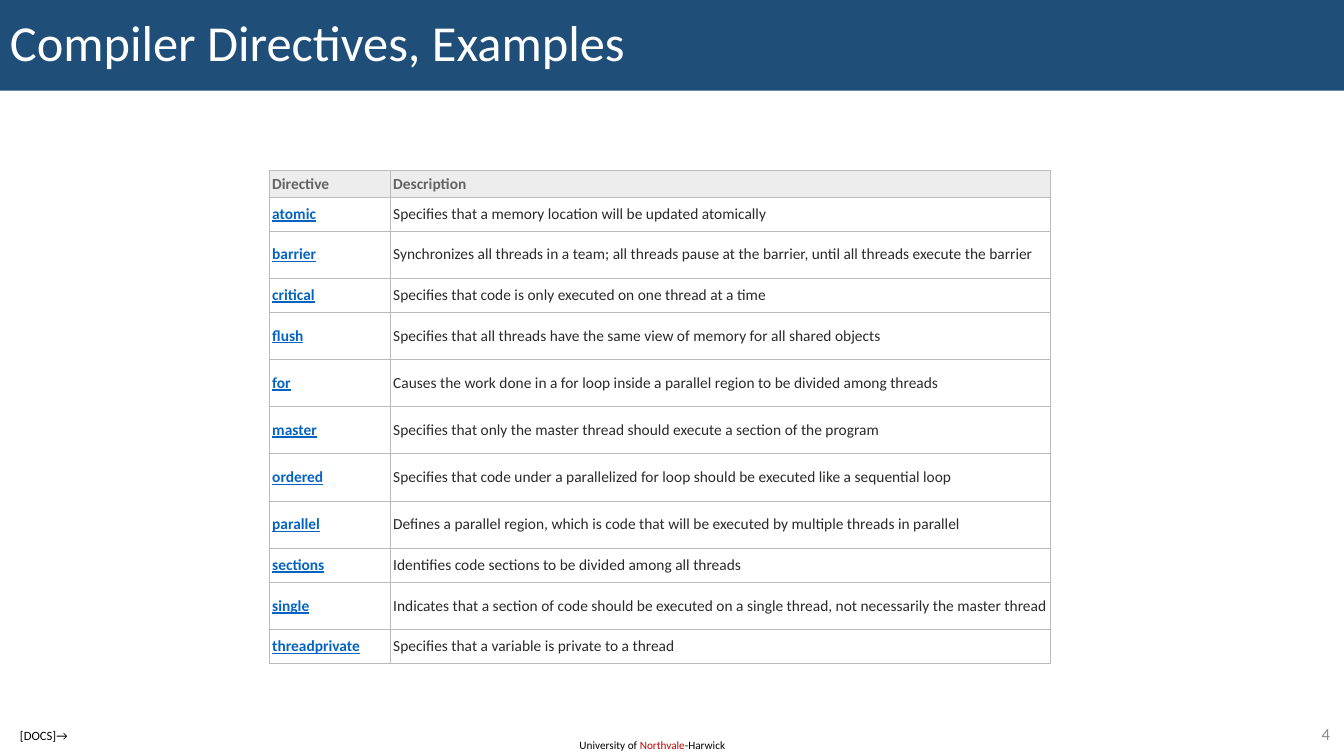
from lxml.etree import SubElement
from pptx import Presentation
from pptx.dml.color import RGBColor
from pptx.enum.shapes import MSO_SHAPE as Shape
from pptx.enum.text import MSO_ANCHOR as Anchor, PP_ALIGN as Align
from pptx.oxml.ns import qn
from pptx.util import Inches, Pt

SLIDE_W, SLIDE_H = Inches(13.33), Inches(7.5)
FONT = "Calibri"
COLORS = {
    "banner": "1F4E79",
    "white": "FFFFFF",
    "black": "000000",
    "accent": "C00000",
    "number": "8C8C8C",
    "header_fill": "EDEDED",
    "header_text": "636363",
    "keyword": "0563C1",
    "body": "2A2A2A",
    "border": "BBBBBB",
}

TABLE_LEFT, TABLE_TOP = 20.03, 22.53
COLUMN_SHARES = (9, 49.14)
HEADER, SHORT, TALL = 3.5, 4.5, 6.25
DIRECTIVES = [
    ("atomic", SHORT, "Specifies that a memory location will be updated atomically"),
    ("barrier", TALL, "Synchronizes all threads in a team; all threads pause at the barrier, "
                      "until all threads execute the barrier"),
    ("critical", SHORT, "Specifies that code is only executed on one thread at a time"),
    ("flush", TALL, "Specifies that all threads have the same view of memory for all shared objects"),
    ("for", TALL, "Causes the work done in a for loop inside a parallel region to be divided among threads"),
    ("master", TALL, "Specifies that only the master thread should execute a section of the program"),
    ("ordered", TALL, "Specifies that code under a parallelized for loop should be executed "
                      "like a sequential loop"),
    ("parallel", TALL, "Defines a parallel region, which is code that will be executed by "
                       "multiple threads in parallel"),
    ("sections", SHORT, "Identifies code sections to be divided among all threads"),
    ("single", TALL, "Indicates that a section of code should be executed on a single thread, "
                     "not necessarily the master thread"),
    ("threadprivate", SHORT, "Specifies that a variable is private to a thread"),
]


def across(percent):
    return int(SLIDE_W * percent / 100)


def down(percent):
    return int(SLIDE_H * percent / 100)


def box(left, top, width, height):
    return across(left), down(top), across(width), down(height)


def rgb(name):
    return RGBColor.from_string(COLORS[name])


def write(frame, text, size, color="black", bold=False, underline=False,
          align=Align.LEFT, spacing=None):
    paragraph = frame.paragraphs[0]
    paragraph.alignment = align
    if spacing:
        paragraph.line_spacing = spacing
    run = paragraph.add_run()
    run.text = text
    font = run.font
    font.name, font.size = FONT, Pt(size)
    font.bold, font.underline = bold, underline
    font.color.rgb = rgb(color)


def add_banner(slide, title):
    banner = slide.shapes.add_shape(Shape.RECTANGLE, *box(0, 0, 100, 12))
    banner.shadow.inherit = False
    banner.fill.solid()
    banner.fill.fore_color.rgb = rgb("banner")
    banner.line.fill.background()
    banner.text_frame.vertical_anchor = Anchor.MIDDLE
    write(banner.text_frame, title, 36, color="white", spacing=0.9)


def add_label(slide, place, pieces, size, wrap=True, anchor=Anchor.TOP, align=Align.LEFT):
    frame = slide.shapes.add_textbox(*box(*place)).text_frame
    frame.word_wrap = wrap
    frame.vertical_anchor = anchor
    for text, color in pieces:
        write(frame, text, size, color=color, align=align)


def draw_borders(cell):
    properties = cell._tc.get_or_add_tcPr()
    for side in ("lnL", "lnR", "lnT", "lnB"):
        line = SubElement(properties, qn(f"a:{side}"), w=str(Pt(0.6)))
        fill = SubElement(line, qn("a:solidFill"))
        SubElement(fill, qn("a:srgbClr"), val=COLORS["border"])


def fill_cell(cell, text, background=None, **style):
    cell.margin_left = cell.margin_right = Inches(0.03)
    cell.margin_top = cell.margin_bottom = Inches(0.04)
    cell.vertical_anchor = Anchor.MIDDLE
    draw_borders(cell)
    if background:
        cell.fill.solid()
        cell.fill.fore_color.rgb = rgb(background)
    else:
        cell.fill.background()
    write(cell.text_frame, text, 11, **style)


def add_directive_table(slide):
    heights = [HEADER] + [height for _, height, _ in DIRECTIVES]
    place = box(TABLE_LEFT, TABLE_TOP, sum(COLUMN_SHARES), sum(heights))
    table = slide.shapes.add_table(len(heights), len(COLUMN_SHARES), *place).table
    table.first_row = table.horz_banding = False
    for column, share in zip(table.columns, COLUMN_SHARES):
        column.width = across(share)
    for row, height in zip(table.rows, heights):
        row.height = down(height)
    for index, heading in enumerate(("Directive", "Description")):
        fill_cell(table.cell(0, index), heading, background="header_fill",
                  color="header_text", bold=True)
    for index, (keyword, _, description) in enumerate(DIRECTIVES, start=1):
        fill_cell(table.cell(index, 0), keyword, color="keyword", bold=True, underline=True)
        fill_cell(table.cell(index, 1), description, color="body")


def main():
    deck = Presentation()
    deck.slide_width, deck.slide_height = SLIDE_W, SLIDE_H
    slide = deck.slides.add_slide(deck.slide_layouts[6])
    add_label(slide, (42.38, 97.07, 12.9, 3.2),
              [("University of ", "black"), ("Northvale", "accent"), ("-Harwick", "black")], 8)
    add_banner(slide, "Compiler Directives, Examples")
    add_directive_table(slide)
    add_label(slide, (0.75, 95.6, 5.4, 3.33), [("[DOCS]→", "black")], 9, wrap=False)
    add_label(slide, (94, 95.07, 5.7, 3.87), [("4", "number")], 12,
              anchor=Anchor.MIDDLE, align=Align.RIGHT)
    deck.save("out.pptx")


if __name__ == "__main__":
    main()
